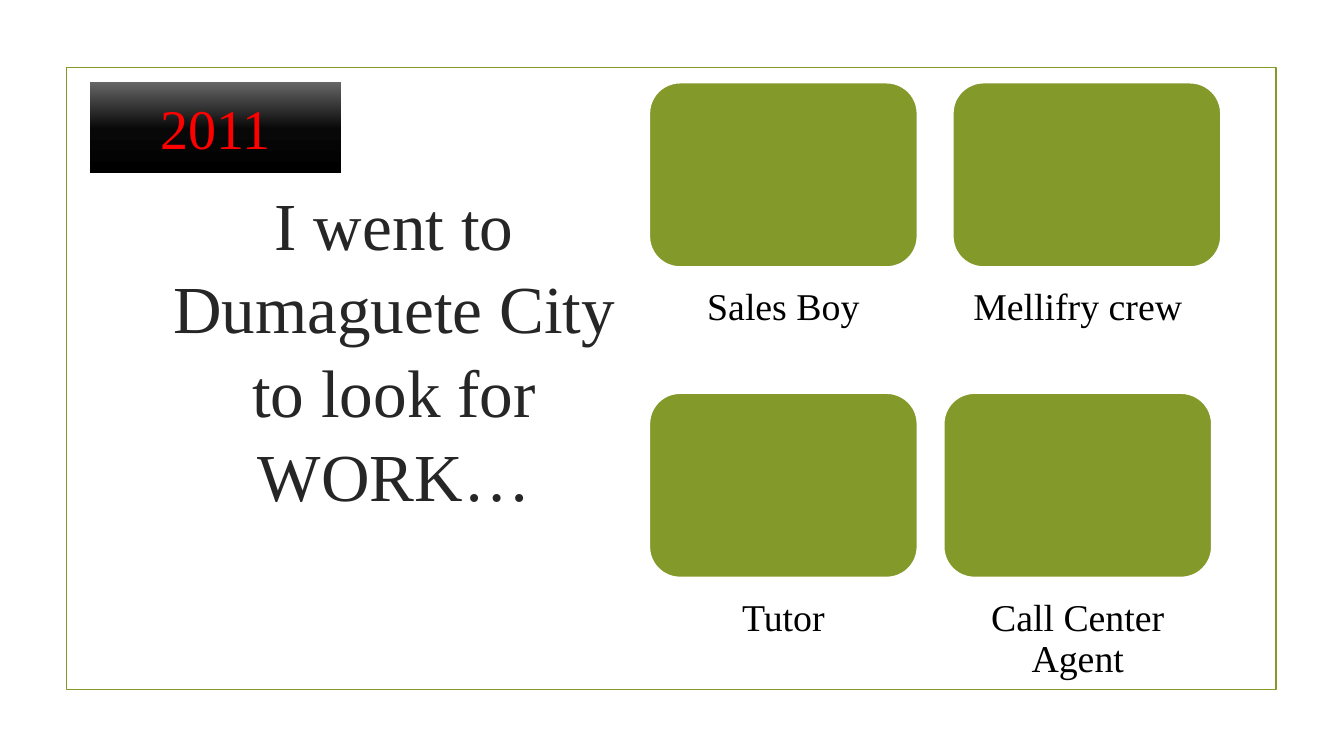
from copy import deepcopy
from dataclasses import dataclass

from pptx import Presentation
from pptx import util as u
from pptx.dml.color import RGBColor
from pptx.enum import shapes, text

PX = 9144  # 100 px to the inch
FONT = "Times New Roman"
GREEN = RGBColor(0x83, 0x99, 0x2A)
WHITE = RGBColor(0xFF, 0xFF, 0xFF)
BLACK = RGBColor(0x00, 0x00, 0x00)
RED = RGBColor(0xFF, 0x00, 0x00)
TITLE_GREY = RGBColor(0x26, 0x26, 0x26)
YEAR_STOPS = (
    (0.0, BLACK),
    (0.48, RGBColor(0x08, 0x08, 0x08)),
    (1.0, RGBColor(0x66, 0x66, 0x66)),
)

CARD_WIDTH, CARD_HEIGHT, CAPTION_HEIGHT = 266, 183, 99
COLUMNS = (644, 936)
ROWS = (82, 390)


@dataclass(frozen=True)
class Job:
    caption: str
    column: int
    row: int
    card_shift: int = 0


JOBS = (
    Job("Sales Boy", 0, 0),
    Job("Mellifry crew", 1, 0, card_shift=9),
    Job("Tutor", 0, 1),
    Job("Call Center Agent", 1, 1),
)


def px(*lengths: int) -> list[u.Emu]:
    return [u.Emu(length * PX) for length in lengths]


def add_box(slide, kind, left: int, top: int, width: int, height: int):
    shape = slide.shapes.add_shape(kind, *px(left, top, width, height))
    shape.shadow.inherit = False
    return shape


def write(frame, words: str, size: int, color: RGBColor, spacing: float = 1.0) -> None:
    frame.word_wrap = True
    frame.auto_size = text.MSO_AUTO_SIZE.NONE
    paragraph = frame.paragraphs[0]
    paragraph.text = words
    paragraph.alignment = text.PP_ALIGN.CENTER
    paragraph.line_spacing = spacing
    paragraph.font.name = FONT
    paragraph.font.size = u.Pt(size)
    paragraph.font.color.rgb = color


def add_frame(slide) -> None:
    frame = add_box(slide, shapes.MSO_SHAPE.RECTANGLE, 66, 67, 1200, 617)
    frame.fill.background()
    frame.line.color.rgb = GREEN
    frame.line.width = u.Pt(1.25)


def format_title(slide) -> None:
    title = slide.shapes.title
    title.left, title.top, title.width, title.height = px(142, 100, 498, 416)
    title.text_frame.vertical_anchor = text.MSO_ANCHOR.BOTTOM
    write(title.text_frame, "I went to Dumaguete City to look for WORK…", 48, TITLE_GREY, 1.04)


def add_job(slide, job: Job) -> None:
    left, top = COLUMNS[job.column], ROWS[job.row]
    card = add_box(slide, shapes.MSO_SHAPE.ROUNDED_RECTANGLE,
                   left + job.card_shift, top, CARD_WIDTH, CARD_HEIGHT)
    card.fill.solid()
    card.fill.fore_color.rgb = GREEN
    card.line.color.rgb = WHITE
    card.line.width = u.Pt(1.25)

    caption = slide.shapes.add_textbox(
        *px(left, top + CARD_HEIGHT, CARD_WIDTH, CAPTION_HEIGHT))
    frame = caption.text_frame
    frame.margin_left, frame.margin_top, frame.margin_right, frame.margin_bottom = px(21, 21, 21, 0)
    write(frame, job.caption, 27, BLACK, 0.9)


def add_year(slide) -> None:
    year = add_box(slide, shapes.MSO_SHAPE.RECTANGLE, 89, 81, 249, 91)
    year.line.fill.background()
    year.fill.gradient()
    year.fill.gradient_angle = 90
    # The default gradient has two stops; add a third
    first_stop = year._element.spPr.find(".//{*}gs")
    first_stop.addnext(deepcopy(first_stop))
    for stop, (position, color) in zip(year.fill.gradient_stops, YEAR_STOPS):
        stop.position = position
        stop.color.rgb = color
    year.text_frame.vertical_anchor = text.MSO_ANCHOR.MIDDLE
    write(year.text_frame, "2011", 40, RED)


def main() -> None:
    presentation = Presentation()
    presentation.slide_width, presentation.slide_height = px(1333, 750)
    slide = presentation.slides.add_slide(presentation.slide_layouts.get_by_name("Title Only"))

    add_frame(slide)
    format_title(slide)
    for job in JOBS:
        add_job(slide, job)
    add_year(slide)
    presentation.save("out.pptx")


if __name__ == "__main__":
    main()
